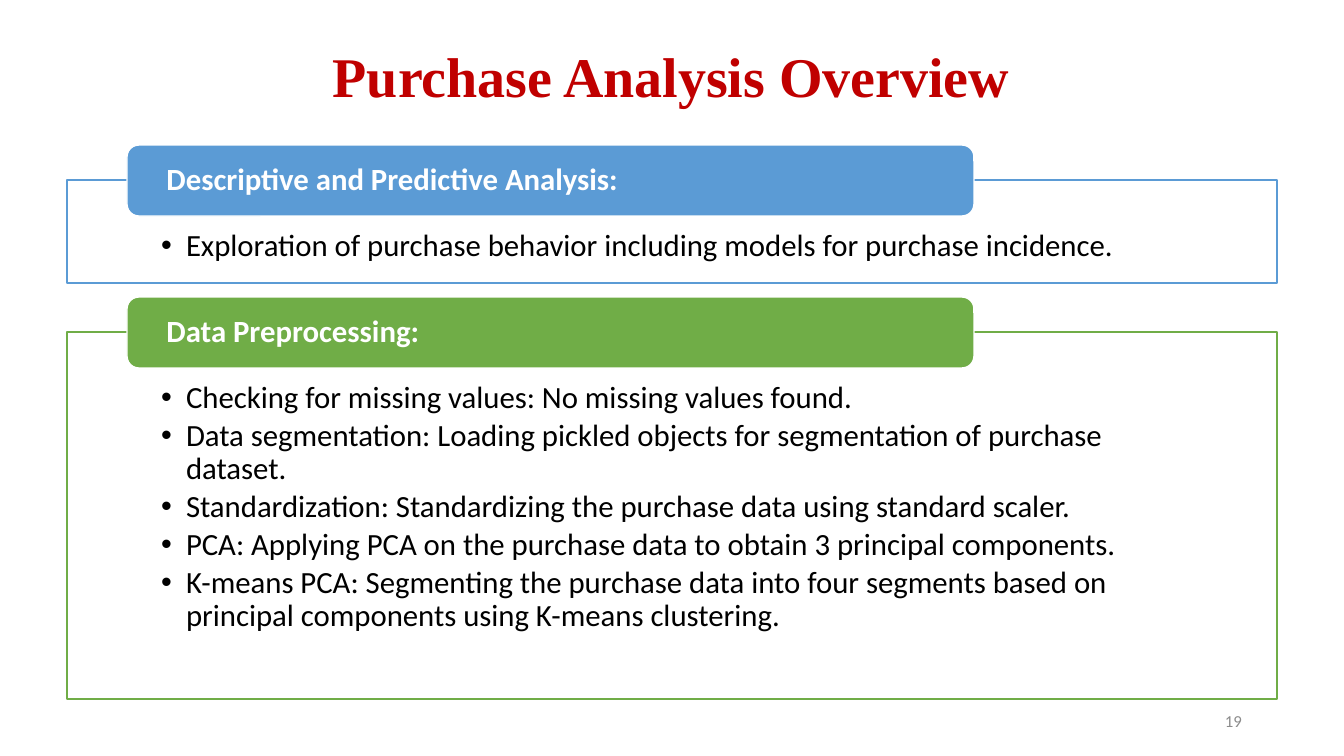
"""Build the purchase analysis overview slide."""
from dataclasses import dataclass

from lxml import etree
from pptx import Presentation
from pptx import util as u
from pptx.dml.color import RGBColor
from pptx.enum import shapes, text
from pptx.oxml.ns import qn

TITLE = "Purchase Analysis Overview"
PAGE_NUMBER = "19"
PANELS = [
    ("Descriptive and Predictive Analysis:", "5B9BD5", 180, 103, [
        "Exploration of purchase behavior including models for purchase incidence.",
    ]),
    ("Data Preprocessing:", "70AD47", 332, 367, [
        "Checking for missing values: No missing values found.",
        "Data segmentation: Loading pickled objects for segmentation of purchase dataset.",
        "Standardization: Standardizing the purchase data using standard scaler.",
        "PCA: Applying PCA on the purchase data to obtain 3 principal components.",
        "K-means PCA: Segmenting the purchase data into four segments based on "
        "principal components using K-means clustering.",
    ]),
]
TITLE_AREA = (277, 36, 788, 78)
NUMBER_AREA = (950, 701, 302, 40)
PANEL_LEFT, PANEL_WIDTH = 67, 1210
TAB_LEFT, TAB_WIDTH, TAB_HEIGHT, TAB_RISE = 127, 847, 71, 35
PANEL_INSETS = (94, 50, 94, 17)
TAB_INSETS = (36, 0, 36, 0)
DEFAULT_INSETS = (10, 5, 10, 5)
BULLET_INDENT = 25


@dataclass(frozen=True)
class Theme:
    title = dict(name="Times New Roman", size=u.Pt(40), bold=True, color="C00000")
    item = dict(name="Calibri", size=u.Pt(22), bold=False, color="000000")
    heading = dict(name="Calibri", size=u.Pt(22), bold=True, color="FFFFFF")
    number = dict(name="Calibri", size=u.Pt(12), bold=False, color="8C8C8C")
    white = "FFFFFF"


def px(length):
    return u.Emu(round(length * 914400 / 100.8))


def place(box, area):
    for name, length in zip(("left", "top", "width", "height"), area):
        setattr(box, name, px(length))


def paint(box, fill, line):
    box.fill.solid()
    box.fill.fore_color.rgb = RGBColor.from_string(fill)
    box.line.color.rgb = RGBColor.from_string(line)
    box.line.width = u.Pt(1)


def add_bullet(para):
    props = para._p.get_or_add_pPr()
    props.set("marL", str(px(BULLET_INDENT)))
    props.set("indent", str(-px(BULLET_INDENT)))
    etree.SubElement(props, qn("a:buFont")).set("typeface", "Arial")
    etree.SubElement(props, qn("a:buChar")).set("char", "•")


def write(box, lines, font, insets=DEFAULT_INSETS, anchor=text.MSO_ANCHOR.MIDDLE,
          bullets=False, **layout):
    frame = box.text_frame
    frame.word_wrap = True
    frame.auto_size = text.MSO_AUTO_SIZE.NONE
    frame.vertical_anchor = anchor
    for side, length in zip(("left", "top", "right", "bottom"), insets):
        setattr(frame, f"margin_{side}", px(length))
    for index, line in enumerate(lines):
        para = frame.add_paragraph() if index else frame.paragraphs[0]
        if bullets:
            add_bullet(para)
        for name, value in {"space_before": u.Pt(0), **layout}.items():
            setattr(para, name, value)
        span = para.add_run()
        span.text = line
        for name, value in font.items():
            if name == "color":
                span.font.color.rgb = RGBColor.from_string(value)
            else:
                setattr(span.font, name, value)


def add_panel(page, body, heading, color, top, height, items):
    place(body, (PANEL_LEFT, top, PANEL_WIDTH, height))
    paint(body, Theme.white, color)
    write(body, items, Theme.item, PANEL_INSETS, text.MSO_ANCHOR.TOP, bullets=True,
          level=1, line_spacing=0.9, space_after=u.Pt(3.3))
    tab_area = map(px, (TAB_LEFT, top - TAB_RISE, TAB_WIDTH, TAB_HEIGHT))
    tab = page.shapes.add_shape(shapes.MSO_SHAPE.ROUNDED_RECTANGLE, *tab_area)
    tab.shadow.inherit = False
    paint(tab, color, Theme.white)
    write(tab, [heading], Theme.heading, TAB_INSETS,
          alignment=text.PP_ALIGN.LEFT, line_spacing=0.9)


def main():
    deck = Presentation()
    deck.slide_width, deck.slide_height = px(1344), px(756)
    page = deck.slides.add_slide(deck.slide_layouts.get_by_name("Two Content"))
    title, *bodies = list(page.placeholders)
    place(title, TITLE_AREA)
    write(title, [TITLE], Theme.title, alignment=text.PP_ALIGN.CENTER)
    for body, panel in zip(bodies, PANELS):
        add_panel(page, body, *panel)
    number = page.shapes.add_textbox(*map(px, NUMBER_AREA))
    write(number, [PAGE_NUMBER], Theme.number, alignment=text.PP_ALIGN.RIGHT)
    deck.save("out.pptx")


if __name__ == "__main__":
    main()
